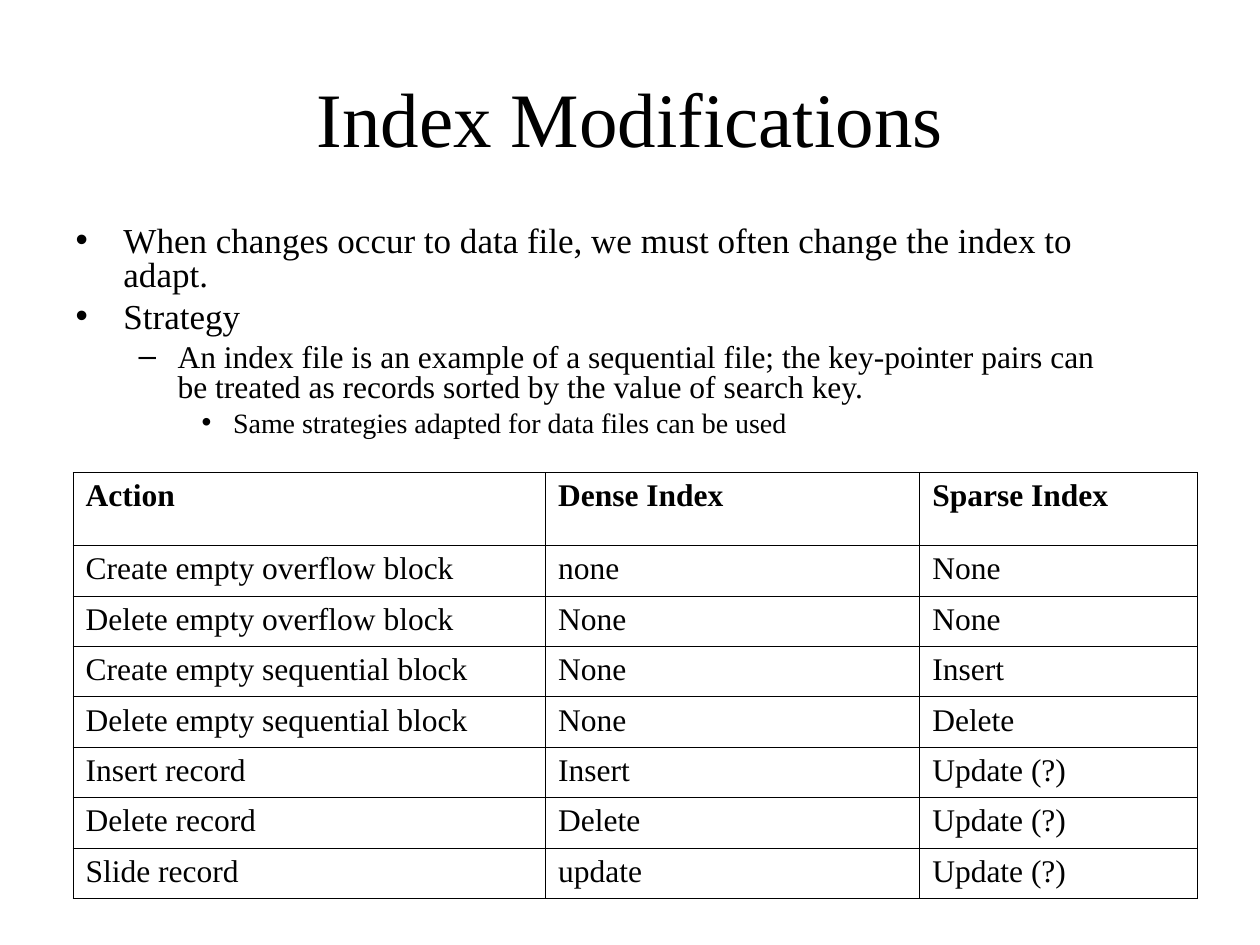
from dataclasses import dataclass

from lxml.etree import SubElement
from pptx import Presentation
from pptx.dml.color import RGBColor
from pptx.enum.text import MSO_ANCHOR, MSO_AUTO_SIZE, PP_ALIGN
from pptx.oxml import parse_xml
from pptx.oxml.ns import nsdecls, qn
from pptx.util import Inches, Pt


@dataclass(frozen=True)
class Theme:
    font: str = "Times New Roman"
    ink: str = "000000"
    title_size: float = 44
    table_size: float = 18
    border: float = 0.45
    line_spacing: float = 0.8


@dataclass(frozen=True)
class Level:
    size: float
    margin: float
    hang: float
    space_before: float
    bullet: str


THEME = Theme()
LEVELS = (
    Level(20, 0.38, 0.38, 5, "•"),
    Level(18, 0.81, 0.31, 4.5, "–"),
    Level(16, 1.25, 0.25, 4, "•"),
)

TITLE = "Index Modifications"
POINTS = (
    (0, "When changes occur to data file, we must often change the index to adapt."),
    (0, "Strategy"),
    (1, "An index file is an example of a sequential file; the key-pointer pairs "
        "can be treated as records sorted by the value of search key."),
    (2, "Same strategies adapted for data files can be used"),
)
ACTIONS = (
    ("Action", "Dense Index", "Sparse Index"),
    ("Create empty overflow block", "none", "None"),
    ("Delete empty overflow block", "None", "None"),
    ("Create empty sequential block", "None", "Insert"),
    ("Delete empty sequential block", "None", "Delete"),
    ("Insert record", "Insert", "Update (?)"),
    ("Delete record", "Delete", "Update (?)"),
    ("Slide record", "update", "Update (?)"),
)
COLUMN_WIDTHS = (3.75, 2.97, 2.2)
HEADER_HEIGHT, ROW_HEIGHT = 0.58, 0.4


def place(placeholder, left, top, width, height):
    placeholder.left, placeholder.top = Inches(left), Inches(top)
    placeholder.width, placeholder.height = Inches(width), Inches(height)
    frame = placeholder.text_frame
    frame.word_wrap = True
    frame.auto_size = MSO_AUTO_SIZE.NONE
    return frame


def add_run(paragraph, text, size, bold=False):
    run = paragraph.add_run()
    run.text = text
    run.font.name = THEME.font
    run.font.size = Pt(size)
    run.font.bold = bold
    run.font.color.rgb = RGBColor.from_string(THEME.ink)


def set_hanging_indent(paragraph, margin, hang):
    properties = paragraph._p.get_or_add_pPr()
    properties.set("marL", str(Inches(margin)))
    properties.set("indent", str(-Inches(hang)))
    return properties


def add_title(slide):
    frame = place(slide.shapes.title, 0.5, 0.3, 9, 1.25)
    frame.vertical_anchor = MSO_ANCHOR.MIDDLE
    heading = frame.paragraphs[0]
    heading.alignment = PP_ALIGN.CENTER
    add_run(heading, TITLE, THEME.title_size)


def add_points(slide):
    frame = place(slide.placeholders[1], 0.5, 1.75, 8.5, 1.92)
    for number, (depth, text) in enumerate(POINTS):
        level = LEVELS[depth]
        point = frame.add_paragraph() if number else frame.paragraphs[0]
        point.level = depth
        properties = set_hanging_indent(point, level.margin, level.hang)
        bullet_color = SubElement(properties, qn("a:buClr"))
        SubElement(bullet_color, qn("a:srgbClr"), val=THEME.ink)
        SubElement(properties, qn("a:buChar"), char=level.bullet)
        point.line_spacing = THEME.line_spacing
        point.space_before = Pt(level.space_before if number else 0)
        add_run(point, text, level.size)


def outline(cell):
    # Borders come before the fill in the cell properties
    properties = cell._tc.get_or_add_tcPr()
    for position, side in enumerate(("lnL", "lnR", "lnT", "lnB")):
        properties.insert(position, parse_xml(
            f'<a:{side} {nsdecls("a")} w="{Pt(THEME.border)}"><a:solidFill>'
            f'<a:srgbClr val="{THEME.ink}"/></a:solidFill></a:{side}>'))


def fill_cell(cell, text, bold):
    cell.fill.background()
    outline(cell)
    cell.margin_left = cell.margin_right = Inches(0.1)
    cell.margin_top = cell.margin_bottom = Inches(0.05)
    entry = cell.text_frame.paragraphs[0]
    set_hanging_indent(entry, 0.38, 0.38)
    add_run(entry, text, THEME.table_size, bold)


def add_action_table(slide):
    heights = [HEADER_HEIGHT] + [ROW_HEIGHT] * (len(ACTIONS) - 1)
    table = slide.shapes.add_table(
        len(ACTIONS), len(COLUMN_WIDTHS), Inches(0.58), Inches(3.75),
        Inches(sum(COLUMN_WIDTHS)), Inches(sum(heights))).table
    table.horz_banding = False
    for column, width in zip(table.columns, COLUMN_WIDTHS):
        column.width = Inches(width)
    for number, (row, height, texts) in enumerate(zip(table.rows, heights, ACTIONS)):
        row.height = Inches(height)
        for cell, text in zip(row.cells, texts):
            fill_cell(cell, text, bold=number == 0)


def main():
    deck = Presentation()
    deck.slide_width, deck.slide_height = Inches(10), Inches(7.5)
    slide = deck.slides.add_slide(deck.slide_layouts[1])

    # Heading and strategy
    add_title(slide)
    add_points(slide)

    # Effect of each action on the two index kinds
    add_action_table(slide)

    deck.save("out.pptx")


if __name__ == "__main__":
    main()
